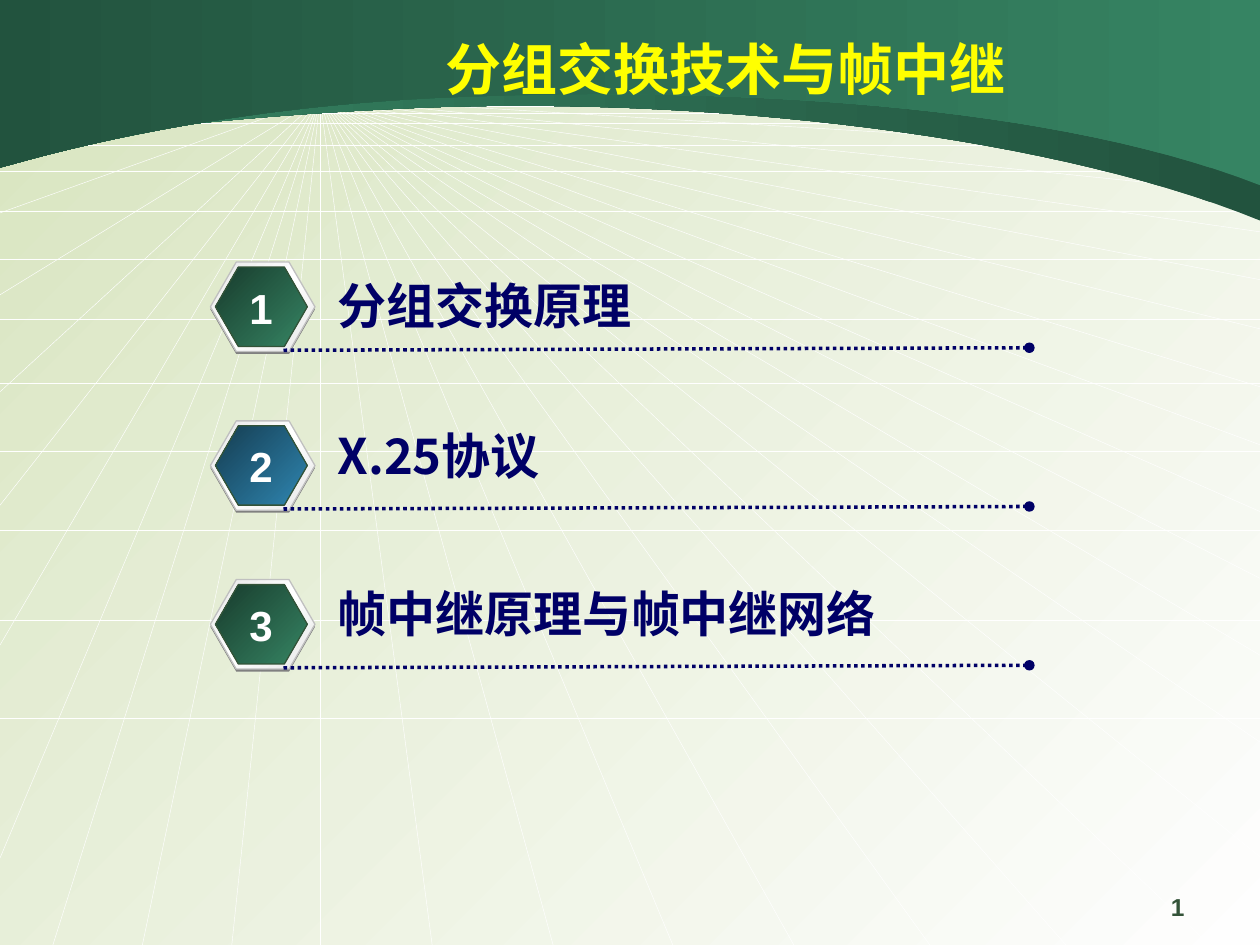
import copy

import pptx
import pptx.dml.color
import pptx.enum.dml
import pptx.enum.shapes
import pptx.enum.text
import pptx.oxml.ns
import pptx.util
from lxml import etree

Inches = pptx.util.Inches
Align = pptx.enum.text.PP_ALIGN
qn = pptx.oxml.ns.qn

CJK, LATIN = "Noto Sans CJK SC", "Arial"
NAVY, WHITE, MOSS = "000066", "FFFFFF", "335338"
GREEN, DARK_GREEN = "368463", "22533E"
GREEN_BADGE, BLUE_BADGE = (GREEN, "183C2D"), ("2F86B1", "153D51")
BEVEL = ("E6E6E6", "FFFFFF", "E6E6E6")


def rgb(value):
    return pptx.dml.color.RGBColor.from_string(value)


def paint(fill, element, colours, angle):
    """Fill with evenly spaced gradient colours; angle is clockwise degrees."""
    fill.gradient()
    fill.gradient_angle = 360 - angle
    stop_list = next(element.iter(qn("a:gsLst")))
    while len(stop_list) < len(colours):
        stop_list.append(copy.deepcopy(stop_list[0]))
    for index, (stop, colour) in enumerate(zip(fill.gradient_stops, colours)):
        stop.color.rgb = rgb(colour)
        stop.position = index / (len(colours) - 1)


def curve_points(start, curves, steps=30):
    """Points along a chain of cubic Bezier curves."""
    points = [start]
    for first, second, end in curves:
        begin = points[-1]
        for step in range(1, steps + 1):
            t = step / steps
            u = 1 - t
            points.append(tuple(
                u**3 * a + 3 * u * u * t * b + 3 * u * t * t * c + t**3 * d
                for a, b, c, d in zip(begin, first, second, end)))
    return points


class SlideBuilder:
    def __init__(self, slide):
        self.slide = slide

    def background(self, colours, angle):
        paint(self.slide.background.fill, self.slide.element, colours, angle)

    def line(self, start, end, colour=WHITE, width=0.25, dotted=False):
        """Line; a dotted one ends in a round dot."""
        connector = self.slide.shapes.add_connector(
            pptx.enum.shapes.MSO_CONNECTOR.STRAIGHT,
            *(Inches(value) for value in (*start, *end)))
        connector.line.color.rgb = rgb(colour)
        connector.line.width = pptx.util.Pt(width)
        properties = connector.element.spPr
        if dotted:
            connector.line.dash_style = pptx.enum.dml.MSO_LINE.ROUND_DOT
            etree.SubElement(properties.find(qn("a:ln")), qn("a:tailEnd"), type="oval")
        etree.SubElement(properties, qn("a:effectLst"))

    def band(self, start, curves, colours):
        """Header band from the top edge down to a curved lower edge."""
        points = curve_points(start, curves) + [(10, 0)]
        builder = self.slide.shapes.build_freeform(0, 0)
        builder.add_line_segments([(Inches(x), Inches(y)) for x, y in points])
        shape = builder.convert_to_shape()
        shape.shadow.inherit = False
        shape.line.fill.background()
        paint(shape.fill, shape.element.spPr, colours, 180)

    def hexagon(self, left, top, width, height, colours, outline=None):
        shape = self.slide.shapes.add_shape(
            pptx.enum.shapes.MSO_SHAPE.HEXAGON,
            *(Inches(value) for value in (left, top, width, height)))
        shape.adjustments[0] = 0.289
        shape.shadow.inherit = False
        if len(colours) > 1:
            paint(shape.fill, shape.element.spPr, colours, 225)
        else:
            shape.fill.solid()
            shape.fill.fore_color.rgb = rgb(colours[0])
        if outline:
            shape.line.color.rgb = rgb(outline)
            shape.line.width = pptx.util.Pt(0.75)
        else:
            shape.line.fill.background()

    def text(self, box, words, size, colour, font=LATIN, align=Align.LEFT,
             wrap=True, middle=False, margin_left=0.1):
        shape = self.slide.shapes.add_textbox(*(Inches(value) for value in box))
        frame = shape.text_frame
        frame.word_wrap = wrap
        frame.margin_left = Inches(margin_left)
        if middle:
            frame.vertical_anchor = pptx.enum.text.MSO_ANCHOR.MIDDLE
        paragraph = frame.paragraphs[0]
        paragraph.text = words
        paragraph.alignment = align
        paragraph.font.size = pptx.util.Pt(size)
        paragraph.font.bold = True
        paragraph.font.color.rgb = rgb(colour)
        paragraph.font.name = font
        defaults = next(paragraph._p.iter(qn("a:defRPr")))
        etree.SubElement(defaults, qn("a:ea"), typeface=font)

    def agenda_item(self, number, words, top, text_top, badge):
        self.hexagon(1.67, top + 0.02, 0.83, 0.71, ["808080"])
        self.hexagon(1.67, top, 0.83, 0.71, BEVEL, "C0C0C0")
        self.hexagon(1.71, top + 0.04, 0.73, 0.63, badge, MOSS)
        self.text((1.88, top + 0.11, 0.38, 0.5), str(number), 24, WHITE,
                  align=Align.CENTER, wrap=False)
        self.text((2.58, text_top, 5.42, 0.57), words, 28, NAVY, CJK)
        self.line((2.25, top + 0.7), (8.17, top + 0.68), NAVY, 2, dotted=True)


def draw_perspective_grid(builder):
    vanishing_point = (2.54, 0.78)
    left_ends = [0.78, 0.97, 1.16, 1.69, 2.34, 3.11, 4.01, 5.12, 6.81]
    bottom_ends = [0.42, 1.13, 1.84, 2.54, 3.43, 4.39, 5.34, 6.3, 7.38, 8.46, 9.6]
    right_ends = [1, 1.23, 1.54, 1.84, 2.22, 2.61, 3.07, 3.53, 4.06, 4.59,
                  5.2, 5.89, 6.8]
    ends = ([(0, y) for y in left_ends] + [(x, 7.5) for x in bottom_ends]
            + [(10, y) for y in right_ends])
    for end in ends:
        builder.line(vanishing_point, end)
    for y in (0.84, 0.9, 0.98, 1.15, 1.36, 1.68, 2.06, 2.53, 3.04, 3.58,
              4.21, 4.92, 5.7):
        builder.line((0, y), (10, y))


def main():
    presentation = pptx.Presentation()
    presentation.slide_width, presentation.slide_height = Inches(10), Inches(7.5)
    builder = SlideBuilder(presentation.slides.add_slide(presentation.slide_layouts[6]))

    builder.background(("FEFEFE", "D7E4BE"), 225)
    draw_perspective_grid(builder)
    builder.band((0, 1.19), [((0.11, 1.18), (1.33, 0.93), (3.47, 0.85)),
                             ((5.61, 0.78), (8.31, 1.06), (10, 1.75))],
                 (DARK_GREEN, GREEN))
    builder.band((0, 1.33), [((0.11, 1.31), (1.51, 0.85), (3.64, 0.77)),
                             ((5.77, 0.69), (8.31, 0.81), (10, 1.47))],
                 (GREEN, DARK_GREEN))
    builder.text((1.62, 0.23, 8.08, 0.62), "分组交换技术与帧中继", 32, "FFFF00", CJK,
                 Align.CENTER, middle=True, margin_left=0.3)

    items = [("分组交换原理", 2.14, GREEN_BADGE),
             ("X.25协议", 3.33, BLUE_BADGE),
             ("帧中继原理与帧中继网络", 4.58, GREEN_BADGE)]
    for index, (words, text_top, badge) in enumerate(items):
        builder.agenda_item(index + 1, words, 2.08 + 1.26 * index, text_top, badge)

    builder.text((7.17, 7.03, 2.33, 0.35), "1", 14, MOSS, align=Align.RIGHT)
    presentation.save("out.pptx")


if __name__ == "__main__":
    main()
